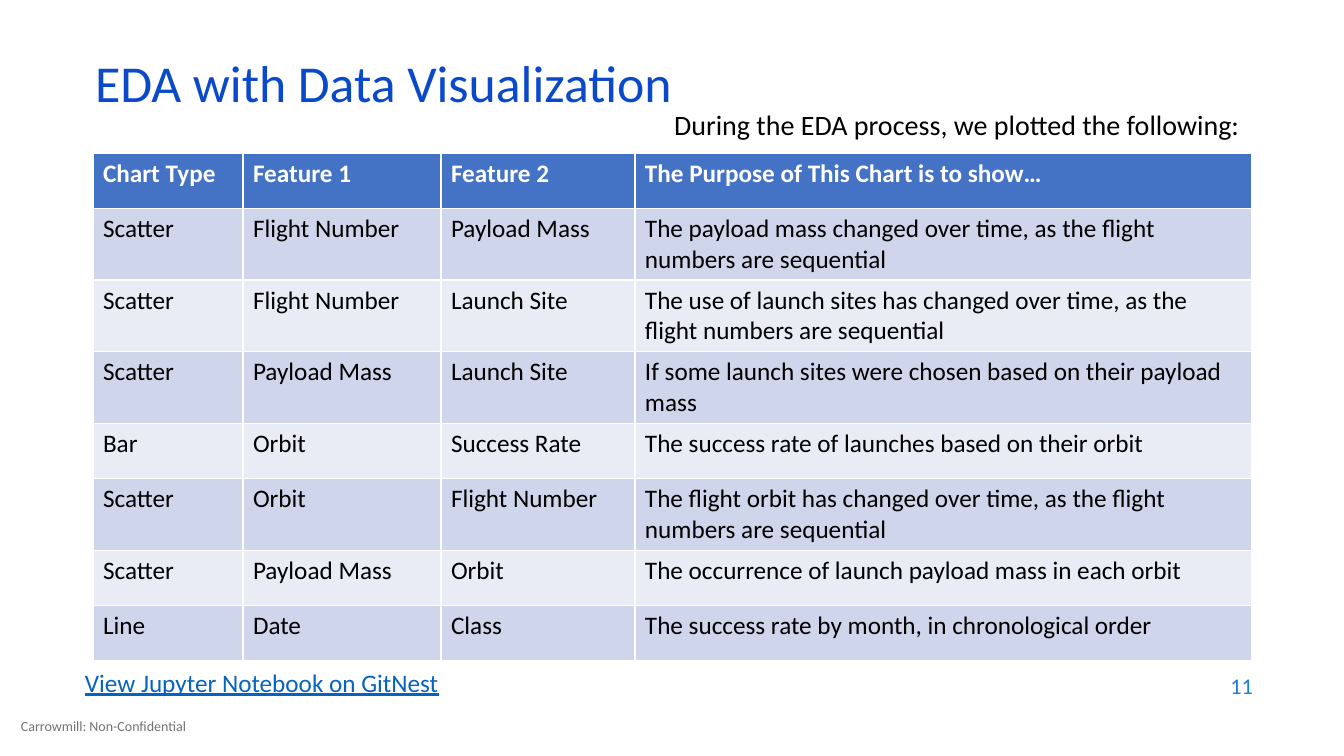
import pptx
import pptx.util
import pptx.dml.color
import pptx.enum.text
import lxml.etree

FONT = "Calibri"
HEX = {
    "title": "0B49CB", "text": "000000", "link": "0563C1", "page": "1C7DDB",
    "note": "737373", "head": "4472C4", "white": "FFFFFF",
    "odd": "CFD5EA", "even": "E9EBF5",
}
COLS = (150, 198, 194, 617)
ROWS = (
    ("Chart Type", "Feature 1", "Feature 2", "The Purpose of This Chart is to show…"),
    ("Scatter", "Flight Number", "Payload Mass",
     "The payload mass changed over time, as the flight numbers are sequential"),
    ("Scatter", "Flight Number", "Launch Site",
     "The use of launch sites has changed over time, as the flight numbers are sequential"),
    ("Scatter", "Payload Mass", "Launch Site",
     "If some launch sites were chosen based on their payload mass"),
    ("Bar", "Orbit", "Success Rate", "The success rate of launches based on their orbit"),
    ("Scatter", "Orbit", "Flight Number",
     "The flight orbit has changed over time, as the flight numbers are sequential"),
    ("Scatter", "Payload Mass", "Orbit",
     "The occurrence of launch payload mass in each orbit"),
    ("Line", "Date", "Class", "The success rate by month, in chronological order"),
)
ALIGN = pptx.enum.text.PP_ALIGN
ANCHOR = pptx.enum.text.MSO_ANCHOR
SIZE = pptx.enum.text.MSO_AUTO_SIZE


def px(n):
    return pptx.util.Emu(round(n * 12192000 / 1344))


def tint(key):
    return pptx.dml.color.RGBColor.from_string(HEX[key])


def style(par, size, key, bold=False, line=False):
    font = par.font
    font.name = FONT
    font.size = pptx.util.Pt(size)
    font.color.rgb = tint(key)
    font.bold = bold
    font.underline = line


def fill_in(item, box, text, size, key, space, anchor):
    item.left, item.top, item.width, item.height = map(px, box)
    frame = item.text_frame
    frame.text = text
    frame.auto_size = SIZE.NONE
    frame.vertical_anchor = anchor
    par = frame.paragraphs[0]
    props = par._p.get_or_add_pPr()
    props.set("marL", "0")
    props.set("indent", "0")
    lxml.etree.SubElement(props, pptx.oxml.ns.qn("a:buNone"))
    par.alignment = ALIGN.LEFT
    par.line_spacing = space
    par.space_before = pptx.util.Pt(0)
    style(par, size, key)


def add_text(slide, box, text, size, key, align=ALIGN.LEFT,
             anchor=ANCHOR.TOP, wrap=True, line=False, inset=True):
    frame = slide.shapes.add_textbox(*map(px, box)).text_frame
    frame.text = text
    frame.word_wrap = wrap
    frame.vertical_anchor = anchor
    if not inset:
        frame.margin_left = frame.margin_right = 0
        frame.margin_top = frame.margin_bottom = 0
    par = frame.paragraphs[0]
    par.alignment = align
    style(par, size, key, line=line)


def add_grid(slide, left, top, high):
    box = map(px, (left, top, sum(COLS), high))
    grid = slide.shapes.add_table(len(ROWS), len(COLS), *box).table
    for col, wide in zip(grid.columns, COLS):
        col.width = px(wide)
    for r, row in enumerate(ROWS):
        head = r == 0
        back = "head" if head else "odd" if r % 2 else "even"
        for c, text in enumerate(row):
            cell = grid.cell(r, c)
            cell.text = text
            cell.fill.solid()
            cell.fill.fore_color.rgb = tint(back)
            style(cell.text_frame.paragraphs[0], 18,
                  "white" if head else "text", bold=head)


def main():
    deck = pptx.Presentation()
    deck.slide_width, deck.slide_height = px(1344), px(756)
    slide = deck.slides.add_slide(deck.slide_layouts[1])
    fill_in(slide.shapes.title, (85, 59, 1159, 60),
            "EDA with Data Visualization", 37, "title", 0.7, ANCHOR.MIDDLE)
    fill_in(slide.placeholders[1], (664, 106, 680, 60),
            "During the EDA process, we plotted the following:",
            20, "text", 0.9, ANCHOR.TOP)
    add_grid(slide, 93, 153, 443)
    add_text(slide, (75, 662, 374, 40), "View Jupyter Notebook on GitNest",
             18, "link", wrap=False, line=True)
    add_text(slide, (961, 664, 302, 44), "11", 16, "page",
             align=ALIGN.RIGHT, anchor=ANCHOR.MIDDLE)
    add_text(slide, (21, 718, 166, 17), "Carrowmill: Non-Confidential",
             10, "note", inset=False)
    deck.save("out.pptx")


if __name__ == "__main__":
    main()
